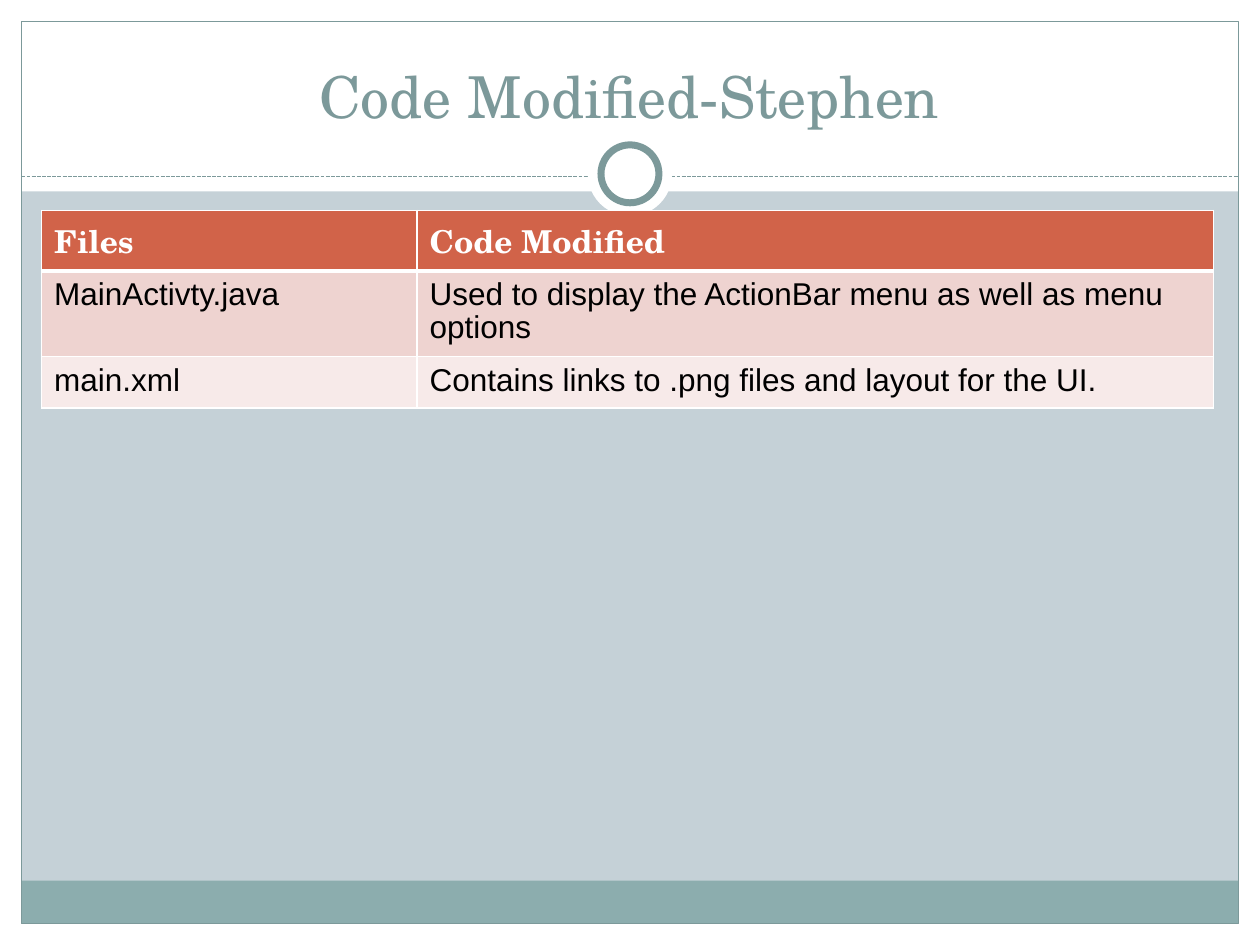
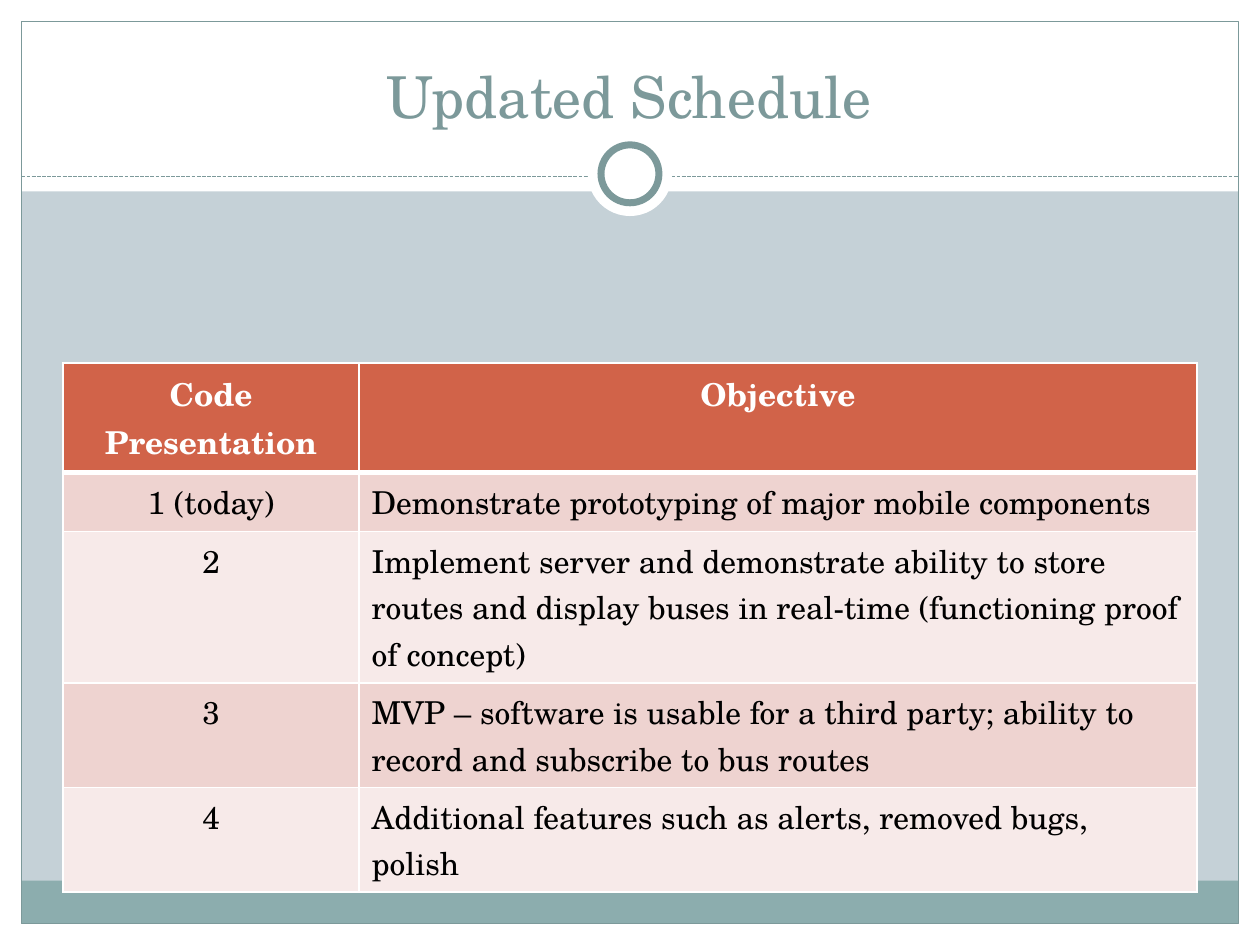
import pptx
import pptx.util
import pptx.dml.color
import pptx.enum.dml
import pptx.enum.shapes
import pptx.enum.text
import pptx.oxml.ns
from lxml import etree

Inches = pptx.util.Inches
Pt = pptx.util.Pt
RGBColor = pptx.dml.color.RGBColor
SHAPE = pptx.enum.shapes.MSO_SHAPE
ALIGN = pptx.enum.text.PP_ALIGN
qn = pptx.oxml.ns.qn

WHITE = RGBColor(0xFF, 0xFF, 0xFF)
BLACK = RGBColor(0, 0, 0)
BACKDROP = RGBColor(0xC5, 0xD1, 0xD7)
TEAL = RGBColor(0x7C, 0x99, 0x9A)
FOOTER = RGBColor(0x8C, 0xAD, 0xAE)
HEADER = RGBColor(0xD1, 0x63, 0x49)
ROW_FILLS = (RGBColor(0xEE, 0xD3, 0xD0), RGBColor(0xF7, 0xEA, 0xE9))

SERIF = "TeX Gyre Schola"
SANS = "Arial"
WIDTH, HEIGHT, MARGIN = 10, 7.5, 0.17
RULE_Y = 1.4


def add_block(slide, box, fill=None, line=None, line_width=0.75, kind=SHAPE.RECTANGLE):
    """Add a flat shape in box (left, top, width, height in inches)."""
    block = slide.shapes.add_shape(kind, *map(Inches, box))
    block.shadow.inherit = False
    if fill is None:
        block.fill.background()
    else:
        block.fill.solid()
        block.fill.fore_color.rgb = fill
    if line is None:
        block.line.fill.background()
    else:
        block.line.color.rgb = line
        block.line.width = Pt(line_width)


def add_circle(slide, center_y, size, **style):
    """Add a circle centred across the slide."""
    box = (WIDTH / 2 - size / 2, center_y - size / 2, size, size)
    add_block(slide, box, fill=WHITE, kind=SHAPE.OVAL, **style)


def add_dashed_rule(slide, left, right, y):
    """Add the dashed line under the title."""
    rule = slide.shapes.add_connector(
        pptx.enum.shapes.MSO_CONNECTOR.STRAIGHT,
        Inches(left), Inches(y), Inches(right), Inches(y))
    rule.line.color.rgb = TEAL
    rule.line.width = Pt(0.75)
    rule.line.dash_style = pptx.enum.dml.MSO_LINE.SQUARE_DOT
    etree.SubElement(rule._element.spPr, qn("a:effectLst"))


def add_frame(slide):
    """Add the margins, footer band, outline and ring of every slide."""
    slide.background.fill.solid()
    slide.background.fill.fore_color.rgb = BACKDROP
    inner_width = WIDTH - 2 * MARGIN
    for margin in ((0, HEIGHT - MARGIN, WIDTH, MARGIN),
                   (0, 0, WIDTH, 1.52),
                   (0, 0, MARGIN, HEIGHT),
                   (WIDTH - MARGIN, 0, MARGIN, HEIGHT)):
        add_block(slide, margin, fill=WHITE)
    add_block(slide, (MARGIN, 6.99, inner_width, 0.34), fill=FOOTER)
    add_block(slide, (MARGIN, MARGIN, inner_width, HEIGHT - 2 * MARGIN), line=TEAL)
    add_dashed_rule(slide, MARGIN, WIDTH - MARGIN, RULE_Y)
    add_circle(slide, 1.38, 0.67)
    add_circle(slide, 1.38, 0.46, line=TEAL, line_width=4)


def write(paragraph, text, size, color, font=SERIF, bold=False, align=ALIGN.LEFT):
    """Add one styled run to a paragraph."""
    paragraph.alignment = align
    run = paragraph.add_run()
    run.text = text
    run.font.size = Pt(size)
    run.font.name = font
    run.font.bold = bold
    run.font.color.rgb = color


def add_title(slide, text, box=(0.33, 0.25, 9.33, 0.83)):
    """Add the centred title, resting on the bottom of its box."""
    frame = slide.shapes.add_textbox(*map(Inches, box)).text_frame
    frame.word_wrap = True
    frame.vertical_anchor = pptx.enum.text.MSO_ANCHOR.BOTTOM
    write(frame.paragraphs[0], text, 33, TEAL, align=ALIGN.CENTER)


def set_borders(cell, **widths):
    """Draw white cell borders; widths in points are keyed L, R, T, B."""
    properties = cell._tc.get_or_add_tcPr()
    for side, width in widths.items():
        border = etree.SubElement(properties, qn("a:ln" + side), w=str(Pt(width)))
        fill = etree.SubElement(border, qn("a:solidFill"))
        etree.SubElement(fill, qn("a:srgbClr"), val=str(WHITE))


def add_grid(slide, left, top, columns, heights, rows, body_font=SERIF,
             header_align=ALIGN.LEFT, key_align=ALIGN.LEFT, tight=False):
    """Add a table with a header row and banded body rows."""
    grid = slide.shapes.add_table(
        len(rows), len(columns), Inches(left), Inches(top),
        Inches(sum(columns)), Inches(sum(heights))).table
    for column, width in zip(grid.columns, columns):
        column.width = Inches(width)
    for r, (height, texts) in enumerate(zip(heights, rows)):
        grid.rows[r].height = Inches(height)
        for c, text in enumerate(texts):
            cell = grid.cell(r, c)
            set_borders(cell, L=1, R=1, T=3 if r == 1 else 1, B=3 if r == 0 else 1)
            cell.fill.solid()
            paragraph = cell.text_frame.paragraphs[0]
            if r == 0:
                cell.fill.fore_color.rgb = HEADER
                write(paragraph, text, 18, WHITE, bold=True, align=header_align)
                continue
            cell.fill.fore_color.rgb = ROW_FILLS[(r - 1) % 2]
            write(paragraph, text, 18, BLACK, body_font,
                  align=key_align if c == 0 else ALIGN.LEFT)
            if tight:
                cell.margin_top = Inches(0.07)
                paragraph.line_spacing = 0.93


def add_slide(deck, title):
    """Add a framed slide with its title."""
    slide = deck.slides.add_slide(deck.slide_layouts[6])
    add_frame(slide)
    add_title(slide, title)
    return slide


deck = pptx.Presentation()
deck.slide_width, deck.slide_height = Inches(WIDTH), Inches(HEIGHT)

code_slide = add_slide(deck, "Code Modified-Stephen")
add_grid(code_slide, 0.33, 1.67, (2.98, 6.32), (0.48, 0.65, 0.41), (
    ("Files", "Code Modified"),
    ("MainActivty.java", "Used to display the ActionBar menu as well as menu options"),
    ("main.xml", "Contains links to .png files and layout for the UI."),
), body_font=SANS, tight=True)

schedule_slide = add_slide(deck, "Updated Schedule")
add_grid(schedule_slide, 0.5, 2.88, (2.35, 6.65), (0.87, 0.47, 1.2, 0.83, 0.83), (
    ("Code Presentation", "Objective"),
    ("1 (today)", "Demonstrate prototyping of major mobile components"),
    ("2", "Implement server and demonstrate ability to store routes and display "
          "buses in real-time (functioning proof of concept)"),
    ("3", "MVP – software is usable for a third party; ability to record and "
          "subscribe to bus routes"),
    ("4", "Additional features such as alerts, removed bugs, polish"),
), header_align=ALIGN.CENTER, key_align=ALIGN.CENTER)

deck.save("out.pptx")
